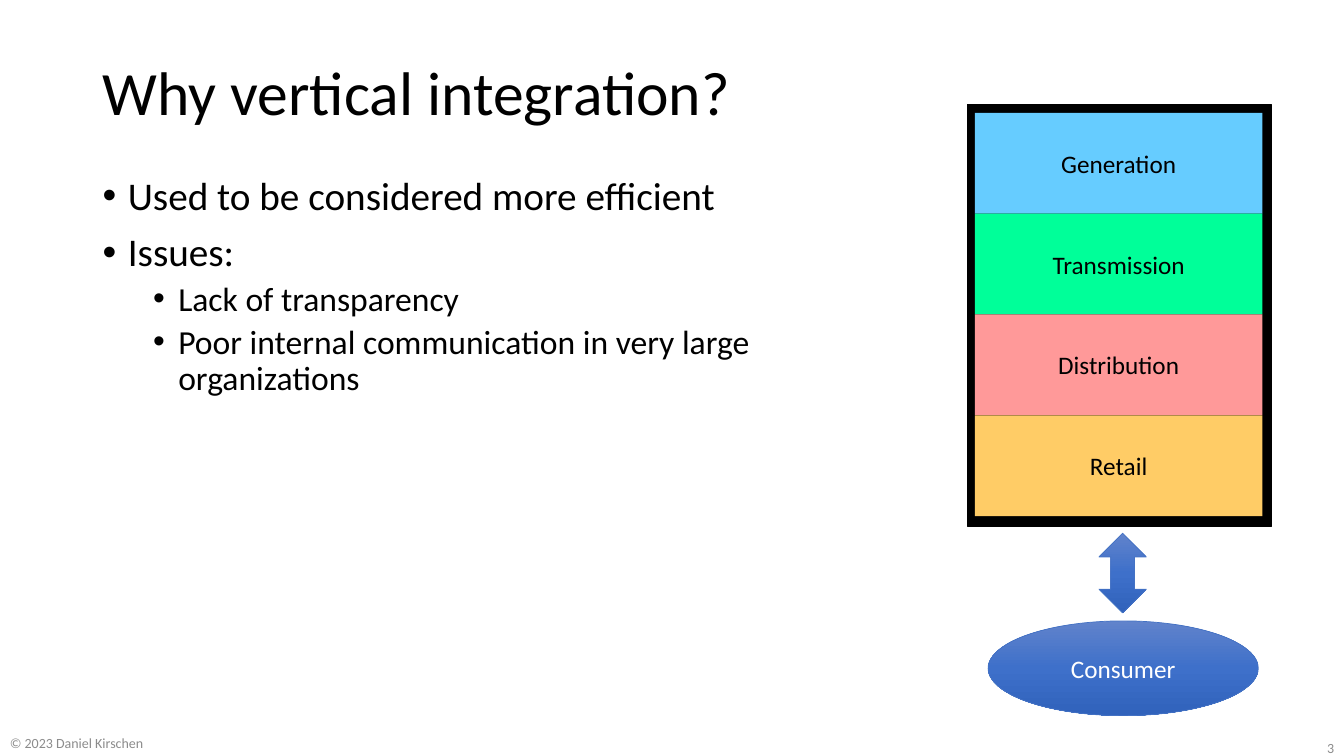
from copy import deepcopy

from lxml.etree import SubElement
from pptx import Presentation
from pptx.dml.color import RGBColor
from pptx.enum.shapes import MSO_SHAPE
from pptx.enum.text import MSO_ANCHOR, PP_ALIGN
from pptx.oxml.ns import qn
from pptx.util import Inches, Pt

FONT = "Calibri"
BLACK = RGBColor(0x00, 0x00, 0x00)
WHITE = RGBColor(0xFF, 0xFF, 0xFF)
GRAY = RGBColor(0x8C, 0x8C, 0x8C)
EDGE = RGBColor(0x44, 0x72, 0xC4)
BLUES = [
    RGBColor(0x61, 0x83, 0xCB),
    RGBColor(0x3E, 0x70, 0xCA),
    RGBColor(0x30, 0x62, 0xBB),
]
STAGES = [
    ("Generation", RGBColor(0x66, 0xCC, 0xFF)),
    ("Transmission", RGBColor(0x00, 0xFF, 0x99)),
    ("Distribution", RGBColor(0xFF, 0x99, 0x99)),
    ("Retail", RGBColor(0xFF, 0xCC, 0x66)),
]
POINTS = [
    (0, "Used to be considered more efficient"),
    (0, "Issues:"),
    (1, "Lack of transparency"),
    (1, "Poor internal communication in very large organizations"),
]


def style(para, size, color, align=PP_ALIGN.LEFT):
    para.font.name = FONT
    para.font.size = Pt(size)
    para.font.color.rgb = color
    para.alignment = align


def add_title(slide, text):
    title = slide.shapes.title
    title.left, title.top = Inches(0.92), Inches(0.4)
    title.width, title.height = Inches(11.5), Inches(1.1)
    frame = title.text_frame
    frame.text = text
    frame.vertical_anchor = MSO_ANCHOR.MIDDLE
    para = frame.paragraphs[0]
    para.line_spacing = 0.9
    style(para, 44, BLACK)


def add_text(slide, left, top, width, height):
    box = slide.shapes.add_textbox(
        Inches(left), Inches(top), Inches(width), Inches(height))
    frame = box.text_frame
    frame.word_wrap = True
    return frame


def add_bullets(slide, points):
    frame = add_text(slide, 0.92, 1.7, 8.4, 5.05)
    for i, (level, text) in enumerate(points):
        para = frame.add_paragraph() if i else frame.paragraphs[0]
        para.text = text
        para.level = level
        para.line_spacing = 0.9
        para.space_before = Pt(5 if level else 10)
        style(para, 24 if level else 28, BLACK)
        props = para._p.get_or_add_pPr()
        props.set("marL", str(Inches(0.25 + 0.5 * level)))
        props.set("indent", str(Inches(-0.25)))
        SubElement(props, qn("a:buFont")).set("typeface", "Arial")
        SubElement(props, qn("a:buChar")).set("char", "•")
        props.append(props.find(qn("a:defRPr")))


def add_note(slide, text, left, top, width, align):
    frame = add_text(slide, left, top, width, 0.32)
    frame.vertical_anchor = MSO_ANCHOR.MIDDLE
    frame.text = text
    style(frame.paragraphs[0], 10, GRAY, align)


def add_shape(slide, kind, left, top, width, height, text="", color=BLACK):
    shape = slide.shapes.add_shape(
        kind, Inches(left), Inches(top), Inches(width), Inches(height))
    shape.shadow.inherit = False
    shape.line.fill.background()
    if text:
        frame = shape.text_frame
        frame.text = text
        frame.vertical_anchor = MSO_ANCHOR.MIDDLE
        style(frame.paragraphs[0], 18, color, PP_ALIGN.CENTER)
    return shape


def paint(shape, color):
    shape.fill.solid()
    shape.fill.fore_color.rgb = color


def shade(shape):
    shape.fill.gradient()
    shape.fill.gradient_angle = 270
    stops = shape._element.spPr.find(qn("a:gradFill")).find(qn("a:gsLst"))
    stops.append(deepcopy(stops[0]))
    for i, stop in enumerate(shape.fill.gradient_stops):
        stop.position = i / 2
        stop.color.rgb = BLUES[i]
    shape.line.color.rgb = EDGE
    shape.line.width = Pt(0.5)


def add_stack(slide):
    frame = add_shape(slide, MSO_SHAPE.RECTANGLE, 9.6, 1.04, 3.01, 4.18)
    paint(frame, BLACK)
    frame.line.color.rgb = BLACK
    frame.line.width = Pt(0.75)
    for i, (name, color) in enumerate(STAGES):
        stage = add_shape(
            slide, MSO_SHAPE.RECTANGLE, 9.67, 1.12 + i, 2.85, 1, name)
        paint(stage, color)


def main():
    deck = Presentation()
    deck.slide_width, deck.slide_height = Inches(13.33), Inches(7.5)
    slide = deck.slides.add_slide(deck.slide_layouts[5])
    add_title(slide, "Why vertical integration?")
    add_bullets(slide, POINTS)
    add_stack(slide)
    shade(add_shape(
        slide, MSO_SHAPE.OVAL, 9.8, 6.16, 2.68, 0.94, "Consumer", WHITE))
    shade(add_shape(
        slide, MSO_SHAPE.UP_DOWN_ARROW, 10.9, 5.29, 0.47, 0.79))
    add_note(slide, "© 2023 Daniel Kirschen", 0, 7.21, 3.44, PP_ALIGN.LEFT)
    add_note(slide, "3", 10.33, 7.26, 3, PP_ALIGN.RIGHT)
    deck.save("out.pptx")


if __name__ == "__main__":
    main()
